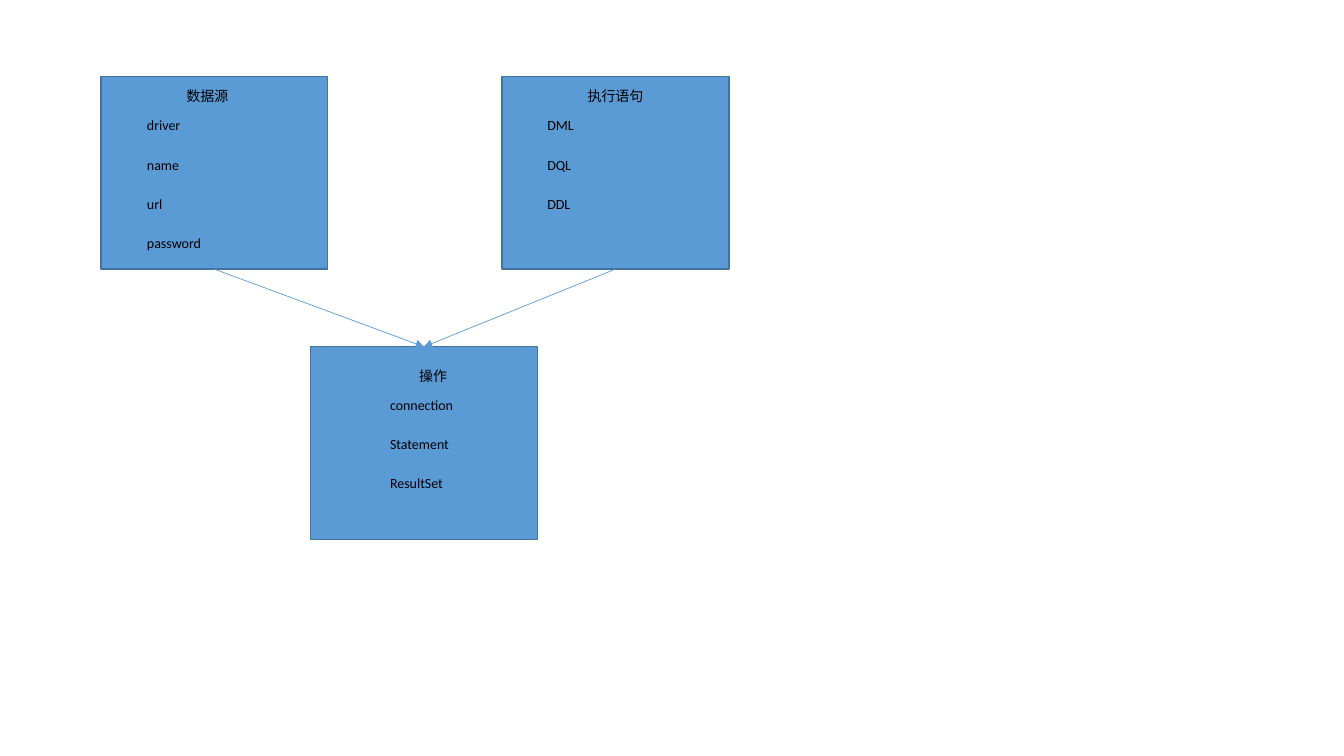
import pptx
import pptx.util
import pptx.dml.color
import pptx.enum.shapes
import pptx.enum.text
import pptx.oxml
import pptx.oxml.ns

BLUE = pptx.dml.color.RGBColor(0x5B, 0x9B, 0xD5)
EDGE = pptx.dml.color.RGBColor(0x43, 0x73, 0x9E)
BLACK = pptx.dml.color.RGBColor(0, 0, 0)

SCALE = 9144  # EMU in one px, 100 px to the inch
WIDTH, HEIGHT = 225, 191  # card size
ROW, STEP = 27, 39  # text height and distance between items
BOTTOM, TOP = 2, 0  # connection sites of a rectangle


class Sketch:
    def __init__(self, slide):
        self.slide = slide
        self.font = {"name": "Calibri", "size": pptx.util.Pt(10)}

    def px(self, *nums):
        return [pptx.util.Emu(num * SCALE) for num in nums]

    def box(self, group, left, top):
        kind = pptx.enum.shapes.MSO_SHAPE.RECTANGLE
        box = group.shapes.add_shape(kind, *self.px(left, top, WIDTH, HEIGHT))
        box.shadow.inherit = False
        box.fill.solid()
        box.fill.fore_color.rgb = BLUE
        box.line.color.rgb = EDGE
        box.line.width = pptx.util.Pt(1)
        return box

    def text(self, group, words, left, top, width, wrap=True):
        box = group.shapes.add_textbox(*self.px(left, top, width, ROW))
        frame = box.text_frame
        frame.word_wrap = wrap
        frame.auto_size = pptx.enum.text.MSO_AUTO_SIZE.SHAPE_TO_FIT_TEXT
        run = frame.paragraphs[0].add_run()
        run.text = words
        for key, value in self.font.items():
            setattr(run.font, key, value)
        run.font.color.rgb = BLACK

    def card(self, left, top, head, first, items):
        """head is (words, left, top, width); first is the first item's (left, top)."""
        group = self.slide.shapes.add_group_shape()
        box = self.box(group, left, top)
        self.text(group, *head, wrap=False)
        x, y = first
        for i, item in enumerate(items):
            self.text(group, item, x, y + i * STEP, 156)
        return box

    def arrow(self, start, end):
        kind = pptx.enum.shapes.MSO_CONNECTOR.STRAIGHT
        line = self.slide.shapes.add_connector(kind, 0, 0, 0, 0)
        line.begin_connect(start, BOTTOM)
        line.end_connect(end, TOP)
        line.line.color.rgb = BLUE
        line.line.width = pptx.util.Pt(0.5)
        tip = pptx.oxml.parse_xml(
            f'<a:tailEnd {pptx.oxml.ns.nsdecls("a")} type="triangle"/>')
        line.line._get_or_add_ln().append(tip)
        flat = pptx.oxml.parse_xml(f'<a:effectLst {pptx.oxml.ns.nsdecls("a")}/>')
        line._element.spPr.append(flat)


def main():
    deck = pptx.Presentation()
    deck.slide_width = pptx.util.Inches(13.33)
    deck.slide_height = pptx.util.Inches(7.5)
    sketch = Sketch(deck.slides.add_slide(deck.slide_layouts[6]))

    # Cards
    source = sketch.card(100, 76, ("数据源", 175, 82, 62), (136, 111),
                         ["driver", "name", "url", "password"])
    query = sketch.card(498, 76, ("执行语句", 573, 82, 76), (533, 111),
                        ["DML", "DQL", "DDL"])
    action = sketch.card(308, 344, ("操作", 406, 360, 50), (377, 388),
                         ["connection", "Statement", "ResultSet"])

    # Arrows into the last card
    for start in (source, query):
        sketch.arrow(start, action)

    deck.save("out.pptx")


if __name__ == "__main__":
    main()
